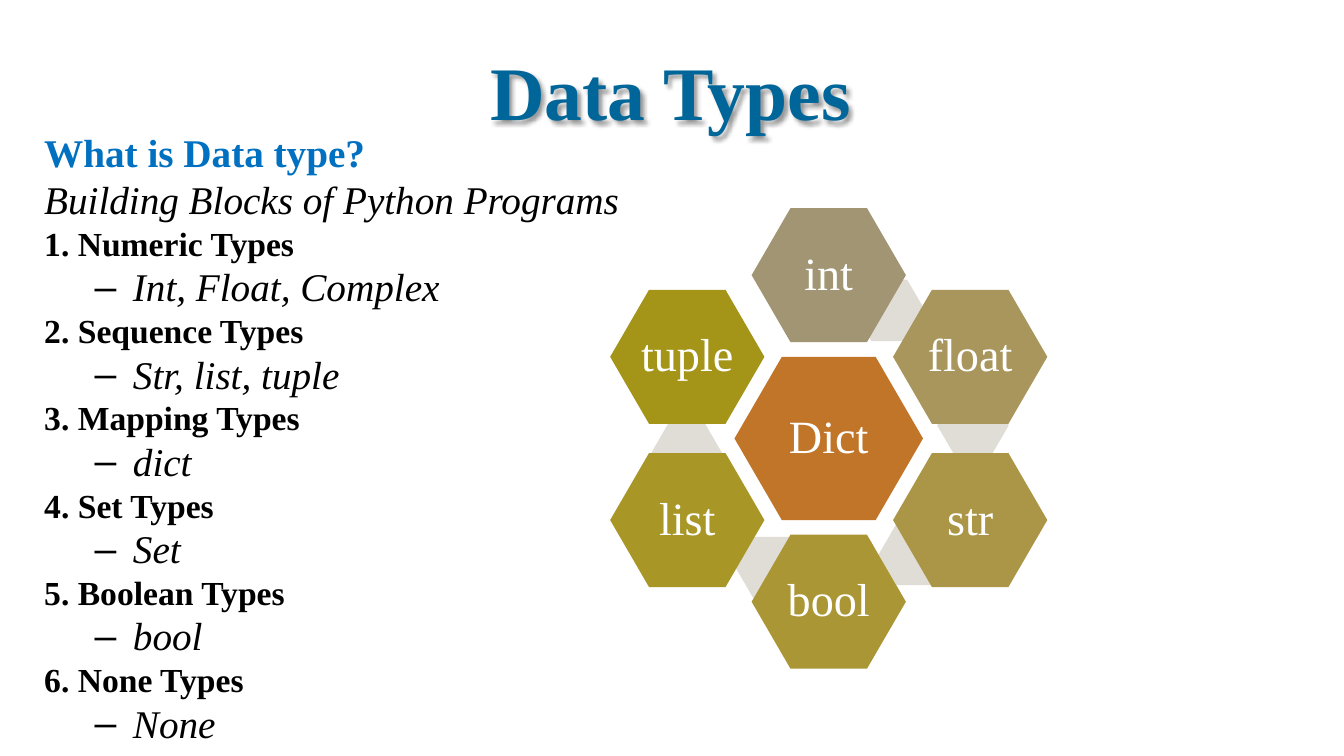
from math import cos, radians, sin

from lxml.etree import SubElement
from pptx import Presentation
from pptx.dml.color import RGBColor
from pptx.enum.shapes import MSO_SHAPE as Shape
from pptx.enum.text import MSO_ANCHOR as Anchor, PP_ALIGN as Align
from pptx.oxml.ns import qn
from pptx.util import Pt

PX = 9144  # 100 px to the inch
FONT = "Times New Roman"

TYPES = [
    ("1. Numeric Types", "Int, Float, Complex"),
    ("2. Sequence Types", "Str, list, tuple"),
    ("3. Mapping Types", "dict"),
    ("4. Set Types", "Set"),
    ("5. Boolean Types", "bool"),
    ("6. None Types", "None"),
]
# Clockwise from the top
RING = [("int", "A19574"), ("float", "A8965C"), ("str", "AB9647"),
        ("bool", "AA9635"), ("list", "A89626"), ("tuple", "A49518")]
LINKS = [(882, 308), (965, 422), (907, 550), (765, 563), (681, 450)]
MID = (822, 435)
REACH = 162


def color(code):
    return RGBColor.from_string(code)


def write(para, text, size=28, hue="000000", bold=False, italic=False,
          align=Align.LEFT, before=0):
    para.alignment = align
    para.line_spacing = 0.9
    para.space_before = Pt(before)
    run = para.add_run()
    run.text = text
    font = run.font
    font.name, font.size = FONT, Pt(size)
    font.bold, font.italic = bold, italic
    font.color.rgb = color(hue)


def add_box(slide, left, top, width, height, anchor=Anchor.TOP):
    box = slide.shapes.add_textbox(left * PX, top * PX, width * PX, height * PX)
    box.text_frame.word_wrap = True
    box.text_frame.vertical_anchor = anchor
    return box


def add_shade(box):
    effects = SubElement(box._element.spPr, qn("a:effectLst"))
    shade = SubElement(effects, qn("a:outerShdw"), blurRad="38100",
                       dist="25400", dir="2700000", algn="tl", rotWithShape="0")
    black = SubElement(shade, qn("a:prstClr"), val="black")
    SubElement(black, qn("a:alpha"), val="40000")


def add_dash(para):
    props = para._p.get_or_add_pPr()
    props.set("marL", str(88 * PX))
    props.set("indent", str(-38 * PX))
    SubElement(props, qn("a:buFont"), typeface="Arial")
    SubElement(props, qn("a:buChar"), char="–")


def add_hex(slide, mid, width, height, fill, text=""):
    left, top = mid[0] - width / 2, mid[1] - height / 2
    cell = slide.shapes.add_shape(Shape.HEXAGON, round(left * PX), round(top * PX),
                                  width * PX, height * PX)
    cell.adjustments[0] = 0.29
    cell.shadow.inherit = False
    cell.fill.solid()
    cell.fill.fore_color.rgb = color(fill)
    cell.line.fill.background()
    if text:
        frame = cell.text_frame
        frame.word_wrap = False
        frame.vertical_anchor = Anchor.MIDDLE
        write(frame.paragraphs[0], text, size=33, hue="FFFFFF", align=Align.CENTER)


def add_list(slide):
    frame = add_box(slide, 34, 128, 632, 625).text_frame
    gap = 3.1
    write(frame.paragraphs[0], "What is Data type?", hue="0070C0", bold=True,
          before=5)
    write(frame.add_paragraph(), "Building Blocks of Python Programs",
          italic=True, before=gap)
    for head, names in TYPES:
        write(frame.add_paragraph(), head, size=24, bold=True, before=gap)
        item = frame.add_paragraph()
        item.level = 1
        write(item, names, italic=True, before=gap)
        add_dash(item)


def add_ring(slide):
    for spot in LINKS:
        add_hex(slide, spot, 71, 61, "E0DDD6")
    add_hex(slide, MID, 187, 162, "C17529", "Dict")
    for i, (name, fill) in enumerate(RING):
        turn = radians(i * 360 / len(RING))
        spot = (MID[0] + REACH * sin(turn), MID[1] - REACH * cos(turn))
        add_hex(slide, spot, 153, 133, fill, name)


def main():
    deck = Presentation()
    deck.slide_width, deck.slide_height = 1333 * PX, 750 * PX
    slide = deck.slides.add_slide(deck.slide_layouts[6])

    # Title
    title = add_box(slide, 51, 11, 1228, 130, Anchor.BOTTOM)
    write(title.text_frame.paragraphs[0], "Data Types", size=54, hue="006699",
          bold=True, align=Align.CENTER)
    add_shade(title)

    # Ring of types and list
    add_ring(slide)
    add_list(slide)
    deck.save("out.pptx")


if __name__ == "__main__":
    main()
